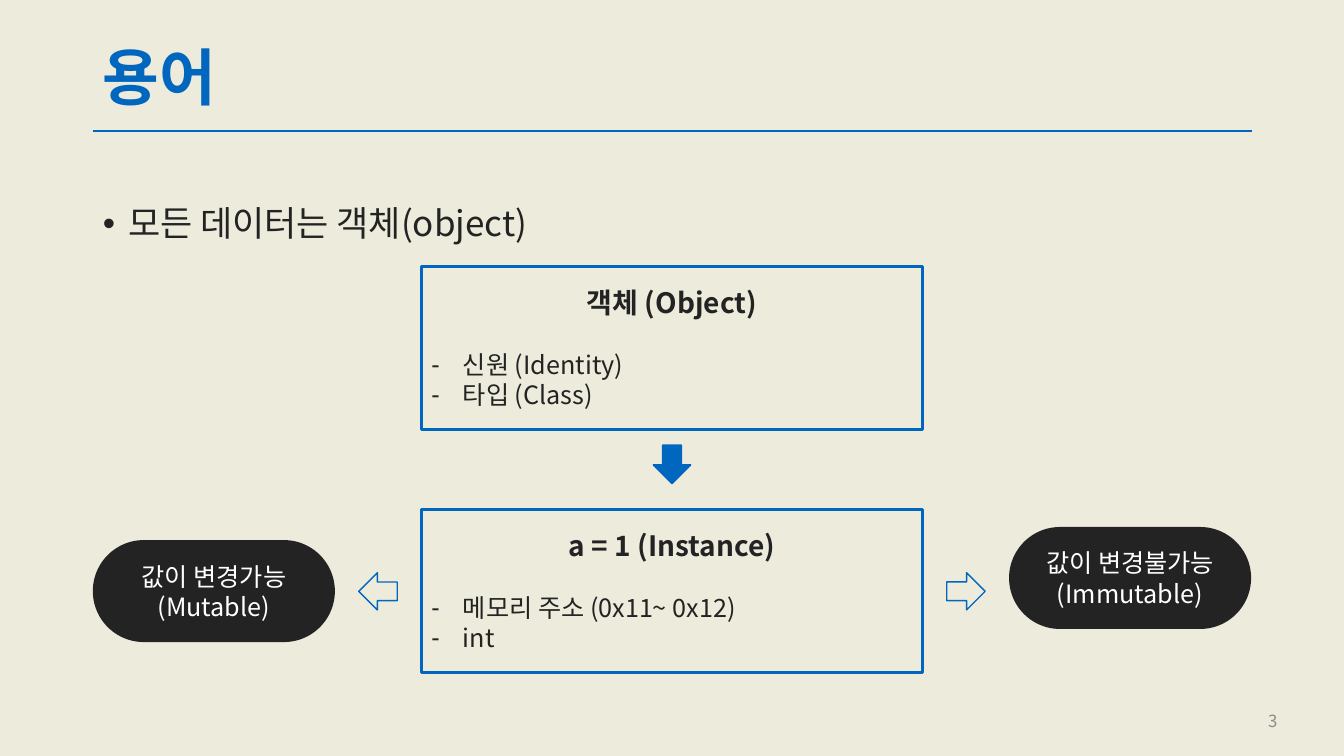
from lxml.etree import SubElement
from pptx import Presentation
from pptx.dml.color import RGBColor
from pptx.enum.shapes import MSO_CONNECTOR as Link, MSO_SHAPE as Kind
from pptx.enum.text import MSO_ANCHOR as Anchor, PP_ALIGN as Align
from pptx.oxml.ns import qn
from pptx.util import Cm, Pt

BLUE = RGBColor(0x00, 0x66, 0xBE)
DARK = RGBColor(0x23, 0x23, 0x23)
GRAY = RGBColor(0x8C, 0x8C, 0x8C)
WHITE = RGBColor(0xFF, 0xFF, 0xFF)
CREAM = RGBColor(0xEC, 0xEB, 0xDC)
FONT = "Noto Sans CJK KR"

TITLE = "용어"
POINT = "모든 데이터는 객체(object)"
NUMBER = "3"
CARDS = [
    (6.71, "객체 (Object)", ["신원 (Identity)", "타입 (Class)"]),
    (12.83, "a = 1 (Instance)", ["메모리 주소 (0x11~ 0x12)", "int"]),
]
PILLS = [
    (2.34, 13.61, ["값이 변경가능", "(Mutable)"]),
    (25.43, 13.28, ["값이 변경불가능", "(Immutable)"]),
]
ARROWS = [(9.04, 14.43, 180, None), (23.86, 14.43, 0, None),
          (16.45, 11.23, 90, BLUE)]

WIDE, HIGH = 33.87, 19.05
EDGE, SPAN = 2.34, 29.21
CARD_W, CARD_H = 12.62, 4.11
PILL_W, PILL_H = 6.1, 2.57
ARROW_W, ARROW_H = 0.97, 0.94


def style(para, text, size, color, bold=False, align=Align.LEFT,
          mark=None, indent=0, before=0, lines=None):
    para.text = text
    para.alignment = align
    para.space_before = Pt(before)
    if lines:
        para.line_spacing = lines
    props = para._p.get_or_add_pPr()
    if mark:
        props.set("marL", str(Cm(indent)))
        props.set("indent", str(-Cm(indent)))
        SubElement(props, qn("a:buFont"), typeface="Arial")
        SubElement(props, qn("a:buChar"), char=mark)
    font = para.font
    font.name, font.size, font.bold = FONT, Pt(size), bold
    font.color.rgb = color
    SubElement(props.find(qn("a:defRPr")), qn("a:ea"), typeface=FONT)


def place(shape, x, y, w, h):
    shape.left, shape.top, shape.width, shape.height = map(Cm, (x, y, w, h))


def draw(slide, kind, x, y, w, h, fill=None, width=None):
    shape = slide.shapes.add_shape(kind, *map(Cm, (x, y, w, h)))
    shape.shadow.inherit = False
    if fill is None:
        shape.fill.background()
    else:
        shape.fill.solid()
        shape.fill.fore_color.rgb = fill
    if width:
        shape.line.color.rgb = BLUE
        shape.line.width = Pt(width)
    else:
        shape.line.fill.background()
    frame = shape.text_frame
    frame.word_wrap = True
    frame.vertical_anchor = Anchor.MIDDLE
    return shape


def add_head(slide):
    rule = slide.shapes.add_connector(
        Link.STRAIGHT, Cm(EDGE), Cm(3.3), Cm(EDGE + SPAN), Cm(3.3))
    rule.line.color.rgb = BLUE
    rule.line.width = Pt(1.5)
    SubElement(rule._element.spPr, qn("a:effectLst"))

    title, body = slide.shapes.title, slide.placeholders[1]
    place(title, EDGE, 1.02, SPAN, 2.03)
    title.text_frame.vertical_anchor = Anchor.MIDDLE
    style(title.text_frame.paragraphs[0], TITLE, 44, BLUE, True, lines=0.9)
    place(body, EDGE, 5.08, SPAN, 1.63)
    body.text_frame.vertical_anchor = Anchor.TOP
    style(body.text_frame.paragraphs[0], POINT, 25, DARK,
          mark="•", indent=0.64, lines=0.9)

    box = slide.shapes.add_textbox(*map(Cm, (24.82, 17.65, 7.62, 1.02)))
    frame = box.text_frame
    frame.word_wrap = True
    frame.vertical_anchor = Anchor.MIDDLE
    style(frame.paragraphs[0], NUMBER, 12, GRAY, align=Align.RIGHT)


def add_chart_parts(slide):
    for y, head, items in CARDS:
        card = draw(slide, Kind.ROUNDED_RECTANGLE, (WIDE - CARD_W) / 2, y,
                    CARD_W, CARD_H, width=2)
        card.adjustments[0] = 0
        frame = card.text_frame
        style(frame.paragraphs[0], head, 20, DARK, True, Align.CENTER)
        for i, item in enumerate(items):
            style(frame.add_paragraph(), item, 18, DARK, mark="-",
                  indent=0.79, before=0 if i else 21.5)

    for x, y, texts in PILLS:
        pill = draw(slide, Kind.ROUNDED_RECTANGLE, x, y, PILL_W, PILL_H, DARK)
        pill.adjustments[0] = 0.5
        frame = pill.text_frame
        for i, text in enumerate(texts):
            para = frame.add_paragraph() if i else frame.paragraphs[0]
            style(para, text, 18, WHITE, align=Align.CENTER)

    for x, y, turn, fill in ARROWS:
        arrow = draw(slide, Kind.RIGHT_ARROW, x, y, ARROW_W, ARROW_H, fill, 1)
        arrow.rotation = turn


def main():
    deck = Presentation()
    deck.slide_width, deck.slide_height = Cm(WIDE), Cm(HIGH)
    slide = deck.slides.add_slide(deck.slide_layouts[1])
    slide.background.fill.solid()
    slide.background.fill.fore_color.rgb = CREAM
    add_head(slide)
    add_chart_parts(slide)
    deck.save("out.pptx")


if __name__ == "__main__":
    main()
